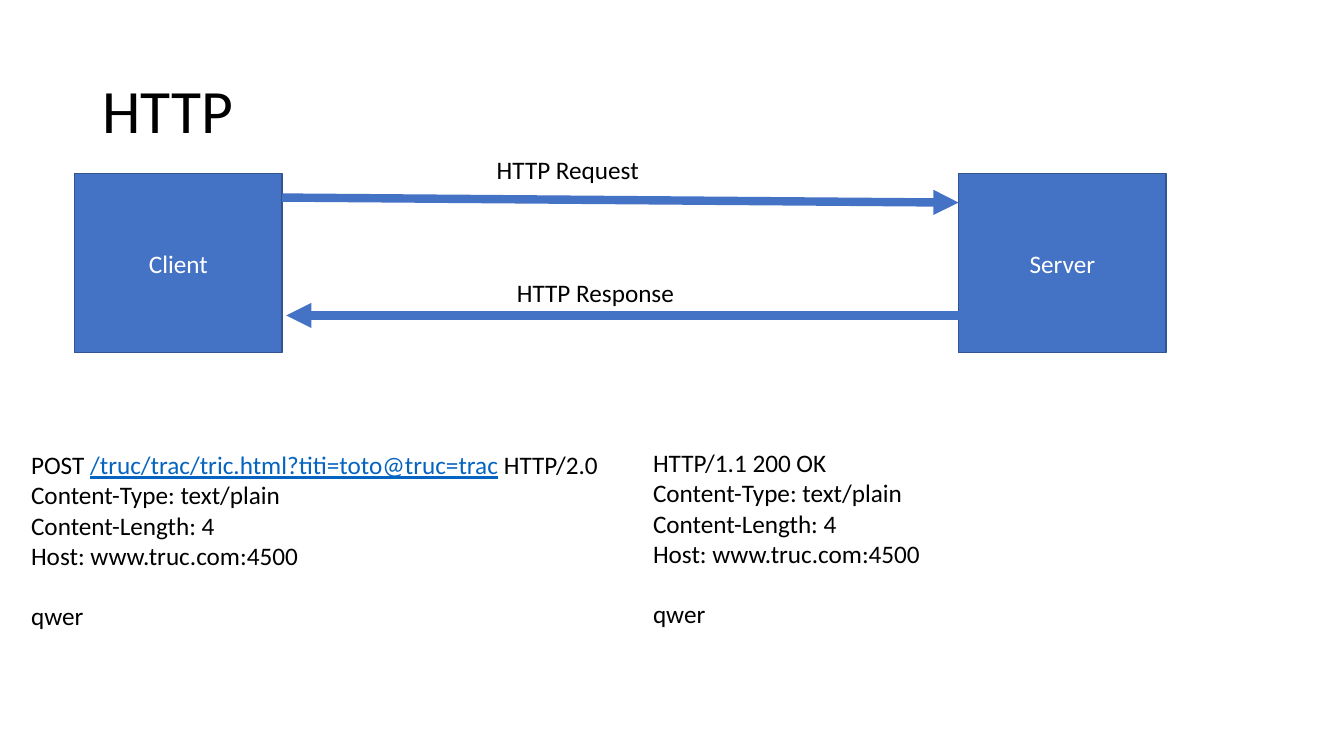
"""Build the HTTP request and response slide."""
from typing import Any, NamedTuple

from lxml import etree
from pptx import Presentation
from pptx import util as u
from pptx.dml.color import RGBColor
from pptx.enum import shapes, text
from pptx.oxml import ns

COLORS = {"text": "000000", "white": "FFFFFF", "fill": "4472C4", "edge": "325491", "link": "0563C1"}
FONT = "Calibri"
BODY_SIZE = 18
BLANK_LINE = 21.6
NODE_TOP, NODE_WIDTH, NODE_HEIGHT = 123.84, 148.32, 128.16


class Node(NamedTuple):
    name: str
    left: float


class Arrow(NamedTuple):
    start: tuple[float, float]
    end: tuple[float, float]


class Span(NamedTuple):
    words: str
    link: bool = False


class Line(NamedTuple):
    spans: list[Span]
    before: float = 0


class Note(NamedTuple):
    box: tuple[float, float, float, float]
    lines: list[Line]


def message(*start: Span) -> list[Line]:
    """Return a start line followed by the shared headers and body."""
    headers = ["Content-Type: text/plain", "Content-Length: 4", "Host: www.truc.com:4500"]
    return [Line(list(start)), *(Line([Span(h)]) for h in headers), Line([Span("qwer")], BLANK_LINE)]


NODES = [Node("Client", 53.28), Node("Server", 684.72)]
ARROWS = [
    Arrow((201.6, 141.12), (684.72, 144.72)),
    Arrow((684.72, 225.36), (204.48, 225.36)),
]
NOTES = [
    Note((347.76, 106.56, 117.36, 28.8), [Line([Span("HTTP Request")])]),
    Note((362.16, 194.4, 128.16, 28.8), [Line([Span("HTTP Response")])]),
    Note((15.12, 317.52, 423.36, 138.24), message(
        Span("POST "), Span("/truc/trac/tric.html?titi=toto@truc=trac", True), Span(" HTTP/2.0"))),
    Note((459.36, 316.08, 207.36, 138.24), message(Span("HTTP/1.1 200 OK"))),
]


def rgb(name: str) -> RGBColor:
    """Return a named colour."""
    return RGBColor.from_string(COLORS[name])


def apply(target: Any, values: dict[str, Any]) -> None:
    """Set attributes from a dict of format values."""
    for key, value in values.items():
        setattr(target, key, value)


def place(sp: Any, box: tuple[float, float, float, float]) -> None:
    """Move and size a shape in points."""
    apply(sp, dict(zip(("left", "top", "width", "height"), map(u.Pt, box))))


def add_run(p: Any, words: str, color: str, size: float = BODY_SIZE, underline: bool = False) -> None:
    """Append a formatted run to a paragraph."""
    r = p.add_run()
    r.text = words
    apply(r.font, {"name": FONT, "size": u.Pt(size), "underline": underline})
    r.font.color.rgb = rgb(color)


def draw_title(s: Any, words: str) -> None:
    """Fill and format the title placeholder."""
    sp = s.shapes.title
    place(sp, (66, 28.8, 828, 104.4))
    tf = sp.text_frame
    apply(tf, {"vertical_anchor": text.MSO_ANCHOR.MIDDLE, "word_wrap": True})
    p = tf.paragraphs[0]
    apply(p, {"alignment": text.PP_ALIGN.LEFT, "line_spacing": 0.9})
    add_run(p, words, "text", 44)


def draw_node(s: Any, node: Node) -> None:
    """Draw one labelled endpoint."""
    box = (node.left, NODE_TOP, NODE_WIDTH, NODE_HEIGHT)
    sp = s.shapes.add_shape(shapes.MSO_SHAPE.RECTANGLE, *map(u.Pt, box))
    sp.shadow.inherit = False
    sp.fill.solid()
    sp.fill.fore_color.rgb = rgb("fill")
    sp.line.color.rgb = rgb("edge")
    sp.line.width = u.Pt(1)
    sp.text_frame.vertical_anchor = text.MSO_ANCHOR.MIDDLE
    p = sp.text_frame.paragraphs[0]
    p.alignment = text.PP_ALIGN.CENTER
    add_run(p, node.name, "white")


def draw_arrow(s: Any, arrow: Arrow) -> None:
    """Draw one thick arrow."""
    ends = map(u.Pt, (*arrow.start, *arrow.end))
    sp = s.shapes.add_connector(shapes.MSO_CONNECTOR.STRAIGHT, *ends)
    sp.line.color.rgb = rgb("fill")
    sp.line.width = u.Pt(6)
    etree.SubElement(sp.line._get_or_add_ln(), ns.qn("a:tailEnd"), type="triangle")
    etree.SubElement(sp._element.spPr, ns.qn("a:effectLst"))


def draw_note(s: Any, note: Note) -> None:
    """Draw one unwrapped text box."""
    sp = s.shapes.add_textbox(*map(u.Pt, note.box))
    tf = sp.text_frame
    apply(tf, {"word_wrap": False, "auto_size": text.MSO_AUTO_SIZE.SHAPE_TO_FIT_TEXT})
    for i, line in enumerate(note.lines):
        p = tf.add_paragraph() if i else tf.paragraphs[0]
        p.space_before = u.Pt(line.before)
        for span in line.spans:
            add_run(p, span.words, "link" if span.link else "text", underline=span.link)


def main() -> None:
    """Build and save the slide."""
    prs = Presentation()
    apply(prs, {"slide_width": u.Pt(960), "slide_height": u.Pt(540)})
    s = prs.slides.add_slide(prs.slide_layouts.get_by_name("Title Only"))
    draw_title(s, "HTTP")
    for node in NODES:
        draw_node(s, node)
    for arrow in ARROWS:
        draw_arrow(s, arrow)
    for note in NOTES:
        draw_note(s, note)
    prs.save("out.pptx")


if __name__ == "__main__":
    main()
